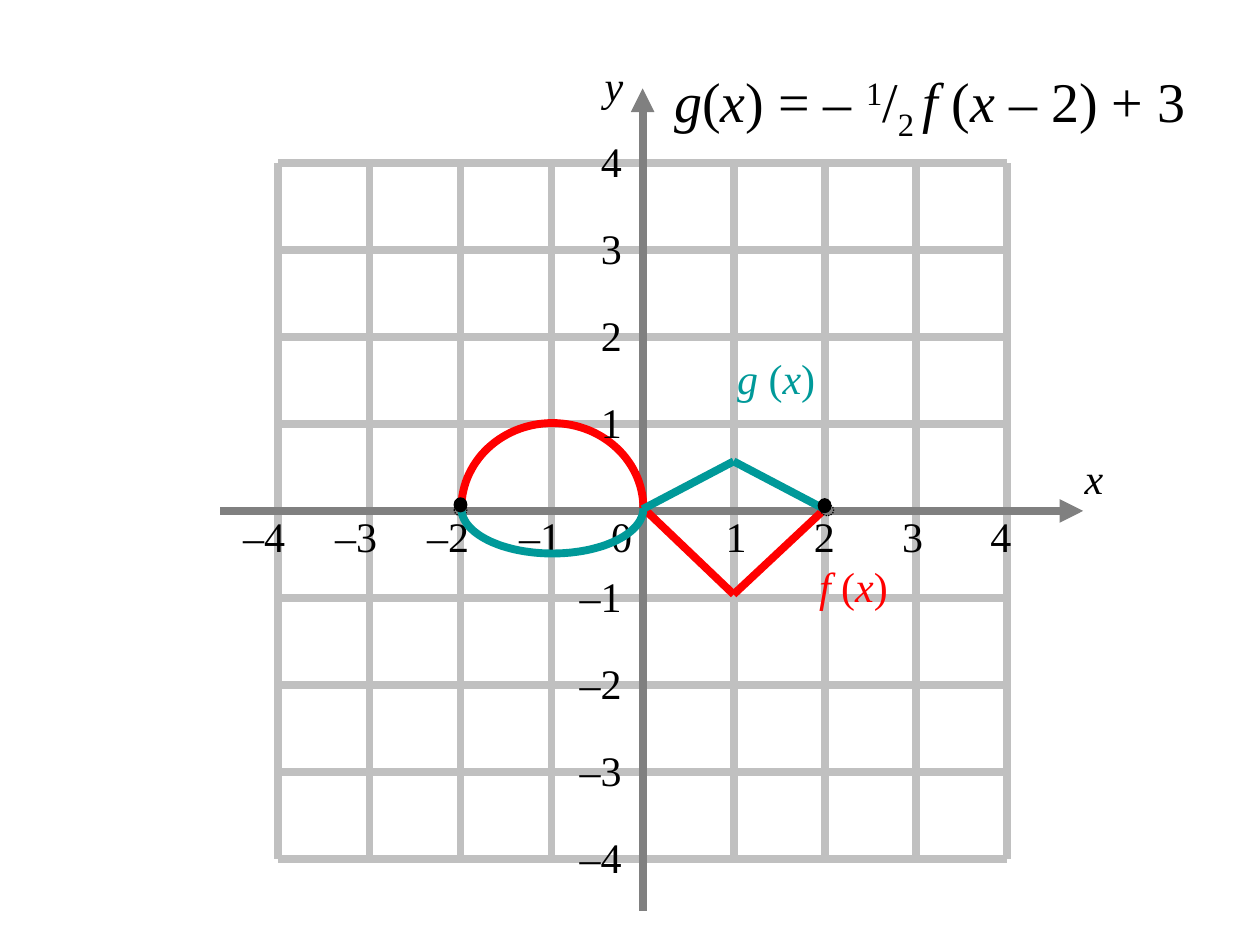
"""Build a slide that graphs f and its transformed function g on a coordinate grid."""
import math
from dataclasses import dataclass

import pptx
import pptx.dml.color
import pptx.enum.dml
import pptx.enum.shapes
import pptx.enum.text
import pptx.oxml.ns
import pptx.util
from lxml import etree

Color = pptx.dml.color.RGBColor
BLACK = Color(0x00, 0x00, 0x00)
GRID_GRAY = Color(0xC0, 0xC0, 0xC0)
AXIS_GRAY = Color(0x80, 0x80, 0x80)
RED = Color(0xFF, 0x00, 0x00)
TEAL = Color(0x00, 0x99, 0x99)
FONT = "Times New Roman"
LIMIT = 4
ORIGIN_X, ORIGIN_Y = 5.1, 4.055
COLUMN, ROW = 0.7225, 0.69
STROKE = 4.5
LABEL_SIZE = 24


@dataclass(frozen=True)
class Span:
    text: str
    italic: bool = False
    baseline: int = 0


@dataclass(frozen=True)
class Label:
    spans: tuple[Span, ...]
    left: float
    top: float
    width: float = 0.75
    height: float = 0.49
    color: Color = BLACK
    insets: tuple[float, float] = (0.1, 0.05)


@dataclass(frozen=True)
class Curve:
    color: Color
    arc_height: float
    legs: tuple[tuple[float, float], ...]
    dots: tuple[tuple[float, float], ...]
    dot_height: float
    dot_fill: Color
    dotted: bool = False


def column(value: float) -> int:
    return pptx.util.Inches(ORIGIN_X + COLUMN * value)


def row(value: float) -> int:
    return pptx.util.Inches(ORIGIN_Y - ROW * value)


def draw_line(shapes, start: tuple, end: tuple, color: Color, arrow: bool = False) -> None:
    line = shapes.add_connector(
        pptx.enum.shapes.MSO_CONNECTOR.STRAIGHT,
        column(start[0]), row(start[1]), column(end[0]), row(end[1]))
    line.line.color.rgb = color
    line.line.width = pptx.util.Pt(STROKE)
    properties = line._element.spPr
    etree.SubElement(properties, pptx.oxml.ns.qn("a:effectLst"))
    if arrow:
        outline = properties.find(pptx.oxml.ns.qn("a:ln"))
        etree.SubElement(outline, pptx.oxml.ns.qn("a:tailEnd"), type="triangle")


def draw_arc(shapes, color: Color, height: float) -> None:
    angles = [math.pi * step / 60 for step in range(60, -1, -1)]
    points = [(column(math.cos(angle) - 0.99), row(0.03 + height * math.sin(angle)))
              for angle in angles]
    builder = shapes.build_freeform(*points[0])
    builder.add_line_segments(points[1:], close=False)
    arc = builder.convert_to_shape()
    arc.shadow.inherit = False
    arc.fill.background()
    arc.line.color.rgb = color
    arc.line.width = pptx.util.Pt(STROKE)


def draw_dot(shapes, center: tuple[float, float], curve: Curve) -> None:
    width, height = pptx.util.Inches(0.1), pptx.util.Inches(curve.dot_height)
    dot = shapes.add_shape(
        pptx.enum.shapes.MSO_SHAPE.OVAL,
        column(center[0]) - width // 2, row(center[1]) - height // 2, width, height)
    dot.shadow.inherit = False
    dot.fill.solid()
    dot.fill.fore_color.rgb = curve.dot_fill
    dot.line.color.rgb = BLACK
    dot.line.width = pptx.util.Pt(0.75)
    if curve.dotted:
        dot.line.dash_style = pptx.enum.dml.MSO_LINE.ROUND_DOT


def draw_curve(slide, curve: Curve) -> None:
    shapes = slide.shapes.add_group_shape().shapes
    draw_arc(shapes, curve.color, curve.arc_height)
    for start, end in zip(curve.legs, curve.legs[1:]):
        draw_line(shapes, start, end, curve.color)
    for center in curve.dots:
        draw_dot(shapes, center, curve)


def write_spans(box, label: Label, size: float) -> None:
    frame = box.text_frame
    frame.word_wrap = True
    frame.auto_size = pptx.enum.text.MSO_AUTO_SIZE.NONE
    frame.vertical_anchor = pptx.enum.text.MSO_ANCHOR.TOP
    frame.margin_left = pptx.util.Inches(label.insets[0])
    frame.margin_top = pptx.util.Inches(label.insets[1])
    frame.margin_right = frame.margin_bottom = 0
    para = frame.paragraphs[0]
    para.alignment = pptx.enum.text.PP_ALIGN.LEFT
    for part in label.spans:
        span = para.add_run()
        span.text = part.text
        span.font.name = FONT
        span.font.size = pptx.util.Pt(size)
        span.font.italic = part.italic
        span.font.color.rgb = label.color
        if part.baseline:
            span._r.get_or_add_rPr().set("baseline", str(part.baseline * 1000))


def place(label: Label) -> tuple[int, ...]:
    return tuple(pptx.util.Inches(length)
                 for length in (label.left, label.top, label.width, label.height))


def draw_label(slide, label: Label) -> None:
    write_spans(slide.shapes.add_textbox(*place(label)), label, LABEL_SIZE)


def draw_title(slide, label: Label) -> None:
    title = slide.shapes.title
    title.left, title.top, title.width, title.height = place(label)
    write_spans(title, label, 32)


def draw_grid(slide) -> None:
    columns = slide.shapes.add_group_shape().shapes
    for value in range(-LIMIT, LIMIT + 1):
        draw_line(columns, (value, LIMIT), (value, -LIMIT), GRID_GRAY)
    for value in range(-LIMIT, LIMIT + 1):
        draw_line(slide.shapes, (-LIMIT, value), (LIMIT, value), GRID_GRAY)
    draw_line(slide.shapes, (-4.64, 0), (4.84, 0), AXIS_GRAY, arrow=True)
    draw_line(slide.shapes, (0, -4.6), (0, 4.86), AXIS_GRAY, arrow=True)


def draw_scale(slide) -> None:
    for value in range(-LIMIT, LIMIT + 1):
        spans = (Span(str(value).replace("-", "–")),)
        left = 4.88 + 0.7 * value if value > 0 else 4.67 + 0.73 * value
        draw_label(slide, Label(spans, left, 4, insets=(0.18, 0.05)))
        if value:
            left, inset = (4.67, 0.1) if value > 0 else (4.42, 0.18)
            top = ORIGIN_Y - ROW * value - 0.265
            draw_label(slide, Label(spans, left, top, insets=(inset, 0.05)))


def function_name(letter: str) -> tuple[Span, ...]:
    return Span(letter, True), Span(" ("), Span("x", True), Span(")")


FORMULA = Label((
    Span("g", True), Span("("), Span("x", True), Span(") = ‒ "),
    Span("1", baseline=30), Span("/"), Span("2 ", baseline=-25),
    Span("f", True), Span(" ("), Span("x ‒ ", True), Span("2) + 3"),
), 5.25, 0.38, 4.73, 0.77, insets=(0.1, 0.15))
NAMES = (
    Label((Span("x", True),), 8.51, 3.54, 0.99, 0.99),
    Label((Span("y", True),), 4.7, 0.42, 0.99, 0.99),
    Label(function_name("f"), 6.5, 4.45, 1.09, 0.83, RED, (0, 0)),
    Label(function_name("g"), 5.85, 2.8, 0.71, 0.43, TEAL, (0, 0)),
)
F_CURVE = Curve(RED, 0.98, ((0, 0.04), (1, -0.96), (2, 0.02)),
                ((-2, 0.01), (2.03, 0.01)), 0.09, AXIS_GRAY, dotted=True)
G_CURVE = Curve(TEAL, -0.52, ((0, 0.02), (1, 0.57), (2, 0.02)),
                ((-2, 0.07), (2, 0.06)), 0.11, BLACK)


def main() -> None:
    deck = pptx.Presentation()
    deck.slide_width, deck.slide_height = pptx.util.Inches(10), pptx.util.Inches(7.5)
    page = deck.slides.add_slide(deck.slide_layouts[5])
    draw_grid(page)
    draw_curve(page, F_CURVE)
    draw_scale(page)
    for label in NAMES:
        draw_label(page, label)
    draw_title(page, FORMULA)
    draw_curve(page, G_CURVE)
    deck.save("out.pptx")


if __name__ == "__main__":
    main()
